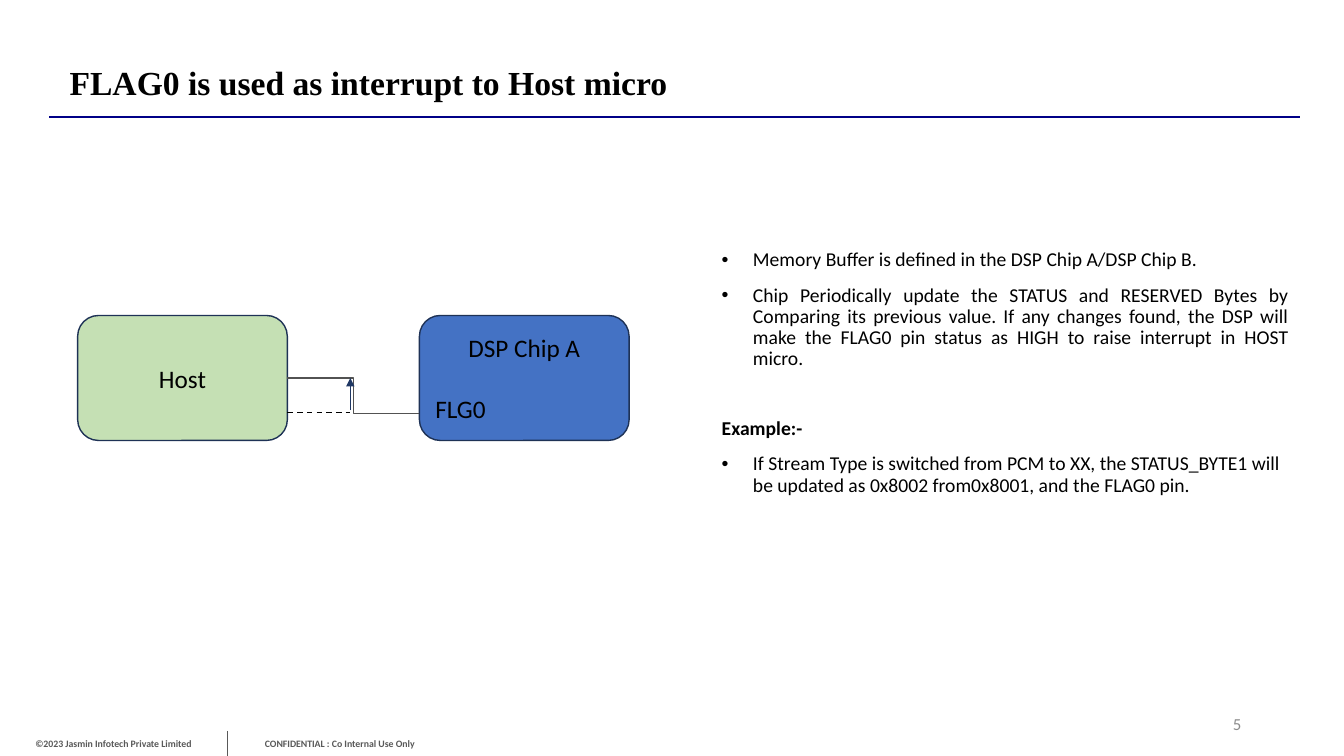
from pptx import Presentation
from pptx.dml.color import RGBColor
from pptx.enum.dml import MSO_LINE
from pptx.enum.shapes import MSO_CONNECTOR, MSO_SHAPE
from pptx.enum.text import MSO_ANCHOR, PP_ALIGN
from pptx.oxml.ns import qn
from pptx.util import Inches, Pt
from lxml import etree

STRAIGHT, ELBOW = MSO_CONNECTOR.STRAIGHT, MSO_CONNECTOR.ELBOW
ROUNDED = MSO_SHAPE.ROUNDED_RECTANGLE
DASH = MSO_LINE.DASH
TOP, MIDDLE = MSO_ANCHOR.TOP, MSO_ANCHOR.MIDDLE
LEFT, CENTER, RIGHT, JUSTIFY = (
    PP_ALIGN.LEFT, PP_ALIGN.CENTER, PP_ALIGN.RIGHT, PP_ALIGN.JUSTIFY)
RIGHT_SIDE = 3

COLORS = {
    "text": "000000", "footer": "595959", "number": "8C8C8C", "rule": "000087",
    "host": "C5E0B4", "dsp": "4472C4", "outline": "1E3256",
    "signal": "525252", "arrow": "203864",
}
INDENT = 0.31


def color(name):
    return RGBColor.from_string(COLORS[name])


def write(paragraph, text, size, ink="text", bold=False, font="Calibri", **layout):
    paragraph.text = text
    for key, value in layout.items():
        setattr(paragraph, key, value)
    run_font = paragraph.runs[0].font
    for key, value in {"name": font, "size": Pt(size), "bold": bold}.items():
        setattr(run_font, key, value)
    run_font.color.rgb = color(ink)


def add_text_frame(slide, left, top, width, height, anchor):
    frame = slide.shapes.add_textbox(
        Inches(left), Inches(top), Inches(width), Inches(height)).text_frame
    frame.word_wrap = True
    frame.vertical_anchor = anchor
    return frame


def add_line(slide, start, end, ink, width, kind=STRAIGHT):
    line = slide.shapes.add_connector(kind, *map(Inches, start + end))
    line.line.color.rgb = color(ink)
    line.line.width = Pt(width)
    etree.SubElement(line._element.spPr, qn("a:effectLst"))
    return line


def add_bullet(paragraph):
    properties = paragraph._p.get_or_add_pPr()
    properties.set("marL", str(Inches(INDENT)))
    properties.set("indent", str(-Inches(INDENT)))
    etree.SubElement(properties, qn("a:buFont")).set("typeface", "Arial")
    etree.SubElement(properties, qn("a:buChar")).set("char", "•")


def build_header(slide, left, top, width):
    title = slide.shapes.title
    position = {"left": left + 0.1, "top": top, "width": 7.44, "height": 0.5}
    for key, value in position.items():
        setattr(title, key, Inches(value))
    title.text_frame.vertical_anchor = TOP
    write(title.text_frame.paragraphs[0], "FLAG0 is used as interrupt to Host micro",
          24, bold=True, font="Times New Roman", alignment=LEFT)
    add_line(slide, (left, top + 0.6), (left + width, top + 0.6), "rule", 1.5)


def build_footer(slide, top):
    for left, width, text in (
            (0, 2.25, "©2023 Jasmin Infotech Private Limited"),
            (2.08, 2.58, "CONFIDENTIAL : Co Internal Use Only")):
        frame = add_text_frame(slide, left, top + 0.02, width, 0.22, MIDDLE)
        write(frame.paragraphs[0], text, 7, "footer", True, alignment=CENTER)
    add_line(slide, (2.25, top), (2.25, top + 0.25), "footer", 0.5)
    number = add_text_frame(slide, 11.08, top - 0.23, 1.33, 0.33, MIDDLE)
    write(number.paragraphs[0], "5", 12, "number", alignment=RIGHT)


def add_device(slide, left, top, width, height, fill, labels):
    device = slide.shapes.add_shape(
        ROUNDED, Inches(left), Inches(top), Inches(width), Inches(height))
    device.shadow.inherit = False
    device.fill.solid()
    device.fill.fore_color.rgb = color(fill)
    device.line.color.rgb = color("outline")
    device.line.width = Pt(1)
    frame = device.text_frame
    frame.vertical_anchor = MIDDLE
    for index, (text, layout) in enumerate(labels):
        paragraph = frame.add_paragraph() if index else frame.paragraphs[0]
        write(paragraph, text, 18, **layout)
    return device


def build_interrupt_diagram(slide, left, top, width, height):
    device_width = 2.08
    host_edge = left + device_width
    dsp_left = left + width - device_width
    host = add_device(slide, left, top, device_width, height, "host",
                      [("Host", {"alignment": CENTER})])
    add_device(slide, dsp_left, top, device_width, height, "dsp", [
        ("DSP Chip A", {"alignment": CENTER}),
        ("FLG0", {"alignment": LEFT, "space_before": Pt(22)})])

    # FLAG0 signal: low level dashed, rising edge as an arrow
    high, low = top + height / 2, top + 0.97
    edge = (host_edge + dsp_left) / 2 - 0.03
    signal = add_line(slide, (host_edge, high), (dsp_left, low), "signal", 1, ELBOW)
    signal.begin_connect(host, RIGHT_SIDE)
    rising = add_line(slide, (edge, low - 0.03), (edge, high), "arrow", 0.5)
    etree.SubElement(rising.line._get_or_add_ln(), qn("a:tailEnd")).set("type", "triangle")
    idle = add_line(slide, (host_edge, low - 0.01), (edge, low - 0.01), "text", 1)
    idle.line.dash_style = DASH


def build_explanation(slide, left, top, width, height):
    frame = add_text_frame(slide, left, top, width, height, TOP)
    points = [
        ("Memory Buffer is defined in the DSP Chip A/DSP Chip B.", JUSTIFY, True, 0),
        ("Chip Periodically update the STATUS and RESERVED Bytes by Comparing its "
         "previous value. If any changes found, the DSP will make the FLAG0 pin "
         "status as HIGH to raise interrupt in HOST micro.", JUSTIFY, True, 10),
        ("Example:-", LEFT, False, 35),
        ("If Stream Type is switched from PCM to XX, the STATUS_BYTE1 will be "
         "updated as 0x8002 from0x8001, and the FLAG0 pin.", LEFT, True, 10),
    ]
    for index, (text, alignment, bulleted, gap) in enumerate(points):
        paragraph = frame.add_paragraph() if index else frame.paragraphs[0]
        if bulleted:
            add_bullet(paragraph)
        write(paragraph, text, 14, bold=not bulleted, alignment=alignment,
              line_spacing=0.9, space_before=Pt(gap))


def main():
    prs = Presentation()
    prs.slide_width, prs.slide_height = Inches(13.33), Inches(7.5)
    slide = prs.slides.add_slide(prs.slide_layouts[5])
    build_footer(slide, 7.25)
    build_header(slide, 0.49, 0.56, 12.4)
    build_explanation(slide, 7.06, 2.43, 5.82, 4.33)
    build_interrupt_diagram(slide, 0.77, 3.13, 5.47, 1.24)
    prs.save("out.pptx")


if __name__ == "__main__":
    main()
